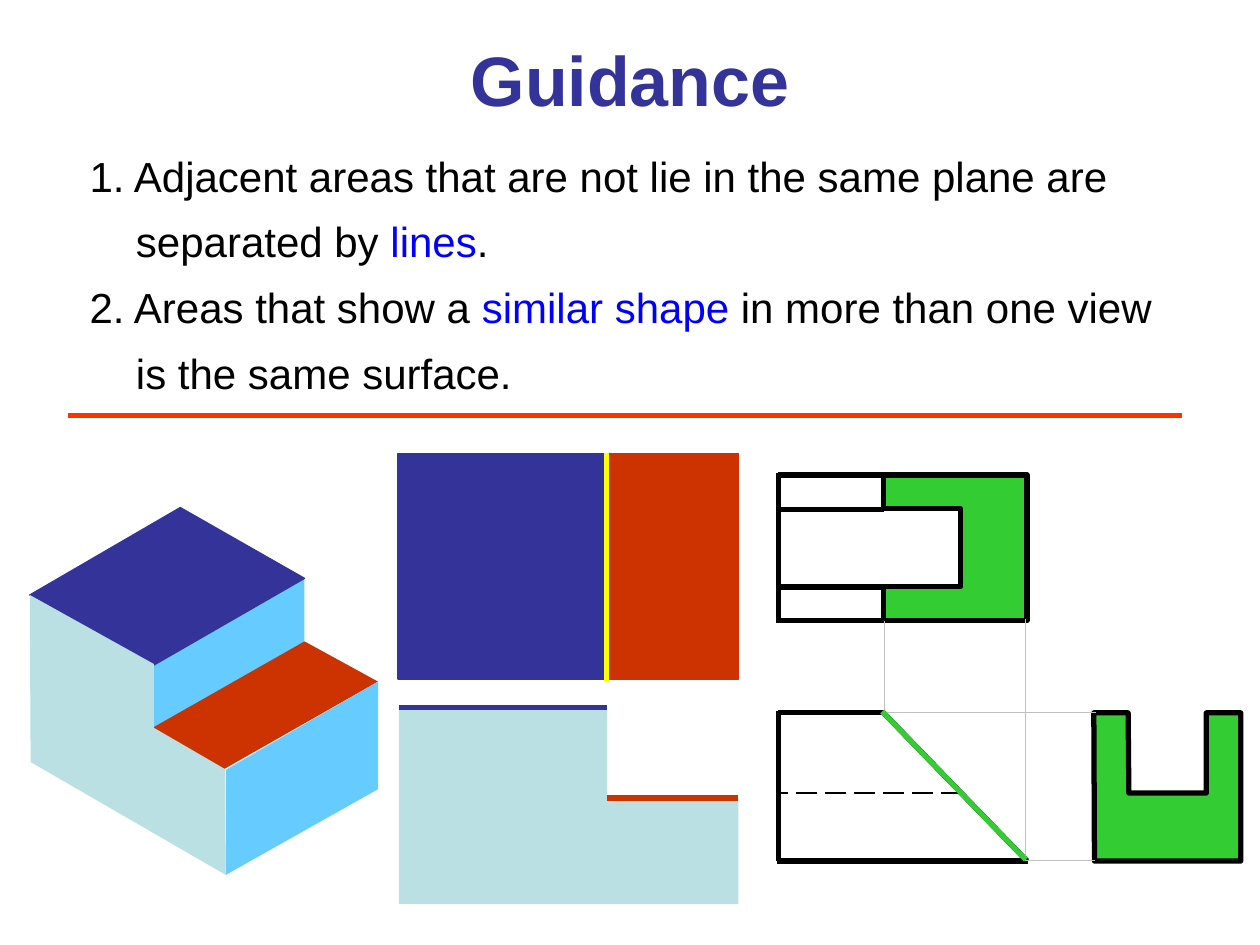
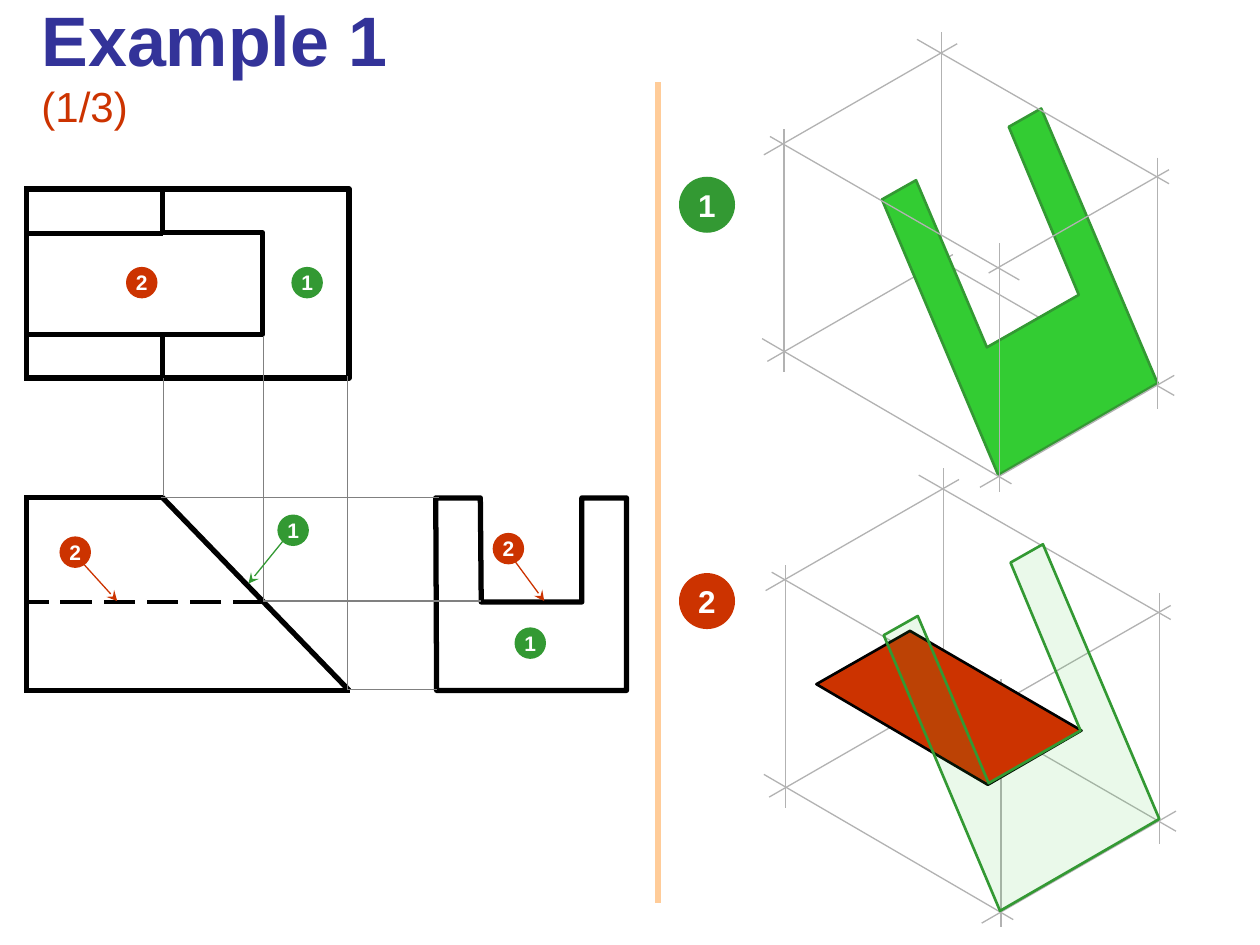
"""Build two slides on reading orthographic views."""
from lxml import etree
from pptx import Presentation, util as u
from pptx.dml.color import RGBColor
from pptx.enum import dml, shapes, text
from pptx.oxml.ns import qn

NAVY, RED, GREEN, DARK = "333399", "CC3300", "33CC33", "339933"
SKY, PALE, BLACK, WHITE, BLUE = "66CCFF", "BBE0E3", "000000", "FFFFFF", "0000FF"
WIRE = "B2B2B2"

RULES = [
    [("1. Adjacent areas that are not lie in the same plane are separated by ", BLACK),
     ("lines", BLUE), (".", BLACK)],
    [("2. Areas that show a ", BLACK), ("similar shape", BLUE),
     (" in more than one view is the same surface.", BLACK)],
]

SOLID = [
    (SKY, None, [(88, 380), (88, 418), (174, 369), (174, 330.5)]),
    (NAVY, NAVY, [(17, 340), (103, 290), (174, 330.5), (88, 380)]),
    (RED, None, [(87, 416), (174, 366.5), (216, 389.5), (128, 439.5)]),
    (PALE, None, [(17, 340), (88, 379.5), (88, 416), (128.5, 439.5),
                  (129, 500), (17.5, 435.5)]),
    (SKY, None, [(216, 389.5), (129, 440), (129, 500), (216, 451)]),
]
PLAN = [(NAVY, 227.5, 119.5), (RED, 346.5, 75.5)]
FRONT = [(228, 404.5), (347, 404.5), (347, 456.5), (422, 456.5),
         (422, 516.5), (228, 516.5)]
BARS = [
    (NAVY, (228, 404.5, 347, 404.5)),
    (RED, (347, 456, 422, 456)),
    ("FFFF00", (346.5, 389, 346.5, 259)),
    ("FF3300", (39, 237.5, 675.5, 237.5)),
]

FACES = [
    [(93, 191), (93, 216), (199.5, 216), (199.5, 108),
     (93, 108), (93, 133), (150, 133), (150, 191)],
    [(274.5, 284.5), (249, 284.5), (249.5, 394.5), (358, 394.5),
     (358, 284.5), (332.5, 284.5), (332.5, 344), (275, 344)],
]
EDGES = [
    (14.5, 284.5, 94, 284.5), (14, 394.5, 200, 394.5), (15, 283, 15, 394.5),
    (92.5, 284, 199.5, 394.5), (15, 108, 93.5, 108), (15, 216, 93, 216),
    (15, 106.5, 15, 218), (93, 133.5, 14.5, 133.5), (93, 191, 14.5, 191),
]
HIDDEN = (151, 344, 15, 344)
SLOPE = (92, 283.5, 198.5, 393.5)
GUIDES = [(93.5, 283.5, 93.5, 216), (92, 284.5, 251, 284.5),
          (198.5, 215, 198.5, 394.5), (198.5, 394, 250, 394)]
INNER = [(150.5, 192, 150.5, 344), (150.5, 343.5, 275, 343.5)]

FAR = [(544.5, 145.5, 438.5, 206.5), (538, 18.5, 538, 159), (528, 143.5, 671, 226)]
NEAR = [
    (560, 278.5, 671, 214.5), (524, 22.5, 668, 105), (547, 25, 436.5, 88.5),
    (448, 74, 448, 212.5), (435.5, 193.5, 578, 276.5), (661.5, 90, 661.5, 233.5),
    (668, 97, 565, 156), (440, 78, 582.5, 160), (571, 139, 571, 281),
]
SLANT = [(570.5, 271.5), (504, 114), (523.5, 103), (564, 198.5),
         (616.5, 168.5), (576.5, 72.5), (595, 62), (661.5, 219)]
FLOOR = [(564.5, 448.5), (466.5, 391), (520, 360.5), (618, 417.5)]
DROP = (1, 1, 249)

ARROWS = [(RED, (43, 317, 67, 343.5)), (DARK, (165.5, 304.5, 142, 333.5)),
          (RED, (293, 319, 311, 343.5))]
SMALL, LARGE = (18, 12), (32, 18)
BALLS = [
    ("1", SMALL, 158.5, 294), ("1", SMALL, 166.5, 152.5), ("1", SMALL, 294, 358.5),
    ("2", SMALL, 34, 306.5), ("2", SMALL, 72, 152.5), ("2", SMALL, 281.5, 304.5),
    ("1", LARGE, 388, 101), ("2", LARGE, 388, 327.5),
]


def hue(code):
    """Turn a hex string into a colour."""
    return RGBColor.from_string(code)


def move(pts, fit):
    """Scale and shift points, giving EMU lengths."""
    k, dx, dy = fit
    return [(u.Pt(x * k + dx), u.Pt(y * k + dy)) for x, y in pts]


def paint(shape, fill=None, edge=None, width=0.75):
    """Set the fill and outline of a shape."""
    shape.shadow.inherit = False
    for part, code in ((shape.fill, fill), (shape.line.fill, edge)):
        if code:
            part.solid()
            part.fore_color.rgb = hue(code)
        else:
            part.background()
    if edge:
        shape.line.width = u.Pt(width)
    return shape


def area(slide, pts, fill=None, edge=None, width=0.75, fit=(1, 0, 0)):
    """Draw a closed outline."""
    first, *rest = move(pts, fit)
    pen = slide.shapes.build_freeform(*first, scale=1)
    pen.add_line_segments(rest, close=True)
    return paint(pen.convert_to_shape(), fill, edge, width)


def line(slide, ends, code, width=0.75, fit=(1, 0, 0), dash=False, tip=False):
    """Draw a straight line."""
    start, end = move([ends[:2], ends[2:]], fit)
    rule = slide.shapes.add_connector(shapes.MSO_CONNECTOR.STRAIGHT, *start, *end)
    rule.line.color.rgb = hue(code)
    rule.line.width = u.Pt(width)
    if dash:
        rule.line.dash_style = dml.MSO_LINE.LONG_DASH
    props = rule.element.spPr
    if tip:
        etree.SubElement(props.find(qn("a:ln")), qn("a:tailEnd"), type="stealth")
    etree.SubElement(props, qn("a:effectLst"))


def style(run, size, code, bold=False):
    """Format one run."""
    run.font.name = "Arial"
    run.font.size = u.Pt(size)
    run.font.bold = bold
    run.font.color.rgb = hue(code)


def fill_in(para, parts):
    """Add formatted runs to a paragraph."""
    for words, *look in parts:
        run = para.add_run()
        run.text = words
        style(run, *look)


def place(shape, left, top, wide, high):
    """Move a placeholder and stop it from shrinking its text."""
    shape.left, shape.top = u.Pt(left), u.Pt(top)
    shape.width, shape.height = u.Pt(wide), u.Pt(high)
    shape.text_frame.auto_size = text.MSO_AUTO_SIZE.NONE
    return shape.text_frame


def title(slide, words, box, align, extra=()):
    """Write the slide title."""
    frame = place(slide.shapes.title, *box)
    frame.vertical_anchor = text.MSO_ANCHOR.MIDDLE
    para = frame.paragraphs[0]
    para.alignment = align
    fill_in(para, [(words, 40, NAVY, True), *extra])


def rules(slide):
    """Write the numbered rules with a hanging indent."""
    frame = place(slide.placeholders[1], 44, 73.5, 633, 157)
    frame.vertical_anchor = text.MSO_ANCHOR.TOP
    for i, parts in enumerate(RULES):
        para = frame.add_paragraph() if i else frame.paragraphs[0]
        props = para._p.get_or_add_pPr()
        props.set("marL", str(u.Pt(26.5)))
        props.set("indent", str(u.Pt(-26.5)))
        etree.SubElement(props, qn("a:buNone"))
        para.alignment = text.PP_ALIGN.LEFT
        para.line_spacing = u.Pt(37.5)
        para.space_before = para.space_after = u.Pt(0)
        fill_in(para, [(words, 24, code) for words, code in parts])


def views(slide, fit, dash, guides, grey, fill=None):
    """Draw the top, front and side views with their projection lines."""
    for face in FACES:
        area(slide, face, fill, BLACK, 3, fit)
    for ends in EDGES:
        line(slide, ends, BLACK, 3, fit)
    line(slide, HIDDEN, BLACK, dash, fit, dash=True)
    for ends in guides:
        line(slide, ends, grey, 0.75, fit)


def ball(slide, words, kind, left, top):
    """Draw a numbered disc."""
    side, size = kind
    disc = slide.shapes.add_shape(shapes.MSO_SHAPE.OVAL, u.Pt(left), u.Pt(top),
                                  u.Pt(side), u.Pt(side))
    paint(disc, DARK if words == "1" else RED)
    frame = disc.text_frame
    frame.text = words
    frame.word_wrap = False
    frame.vertical_anchor = text.MSO_ANCHOR.MIDDLE
    para = frame.paragraphs[0]
    para.alignment = text.PP_ALIGN.CENTER
    style(para.runs[0], size, WHITE, True)


def guidance(deck):
    """Build the slide of rules."""
    slide = deck.slides.add_slide(deck.slide_layouts[1])
    title(slide, "Guidance", (36, 0, 648, 90), text.PP_ALIGN.CENTER)
    rules(slide)
    fit = (0.77, 433.3, 188.3)
    views(slide, fit, 1.5, GUIDES, "C0C0C0", GREEN)
    line(slide, SLOPE, GREEN, 3, fit)
    for fill, edge, pts in SOLID:
        area(slide, pts, fill, edge)
    for code, left, wide in PLAN:
        paint(slide.shapes.add_shape(shapes.MSO_SHAPE.RECTANGLE, u.Pt(left), u.Pt(259),
                                     u.Pt(wide), u.Pt(129)), code, code)
    area(slide, FRONT, PALE)
    for code, ends in BARS:
        line(slide, ends, code, 3)


def example(deck):
    """Build the worked example."""
    slide = deck.slides.add_slide(deck.slide_layouts[5])
    title(slide, "Example 1 ", (16.5, 8.5, 272, 55.5), text.PP_ALIGN.LEFT,
          [("(1/3)", 24, RED)])
    slide.shapes.title.text_frame.word_wrap = False
    for ends in FAR:
        line(slide, ends, WIRE)
    views(slide, (1, 0, 0), 2.25, GUIDES + INNER, "808080")
    line(slide, (376, 47, 376, 516), "FFCC99", 3)
    area(slide, SLANT, GREEN, DARK, 1.5)
    for ends in NEAR:
        line(slide, ends, WIRE)
    for ends in FAR + NEAR:
        line(slide, ends, WIRE, fit=DROP)
    for code, ends in ARROWS:
        line(slide, ends, code, tip=True)
    for item in BALLS:
        ball(slide, *item)
    area(slide, FLOOR, RED, BLACK, 1.5)
    glass = area(slide, SLANT, GREEN, DARK, 1.5, DROP)
    tint = glass.element.spPr.find(qn("a:solidFill"))[0]
    etree.SubElement(tint, qn("a:alpha"), val="10000")


def main():
    """Build and save the deck."""
    deck = Presentation()
    deck.slide_width, deck.slide_height = u.Pt(720), u.Pt(540)
    guidance(deck)
    example(deck)
    deck.save("out.pptx")


if __name__ == "__main__":
    main()
